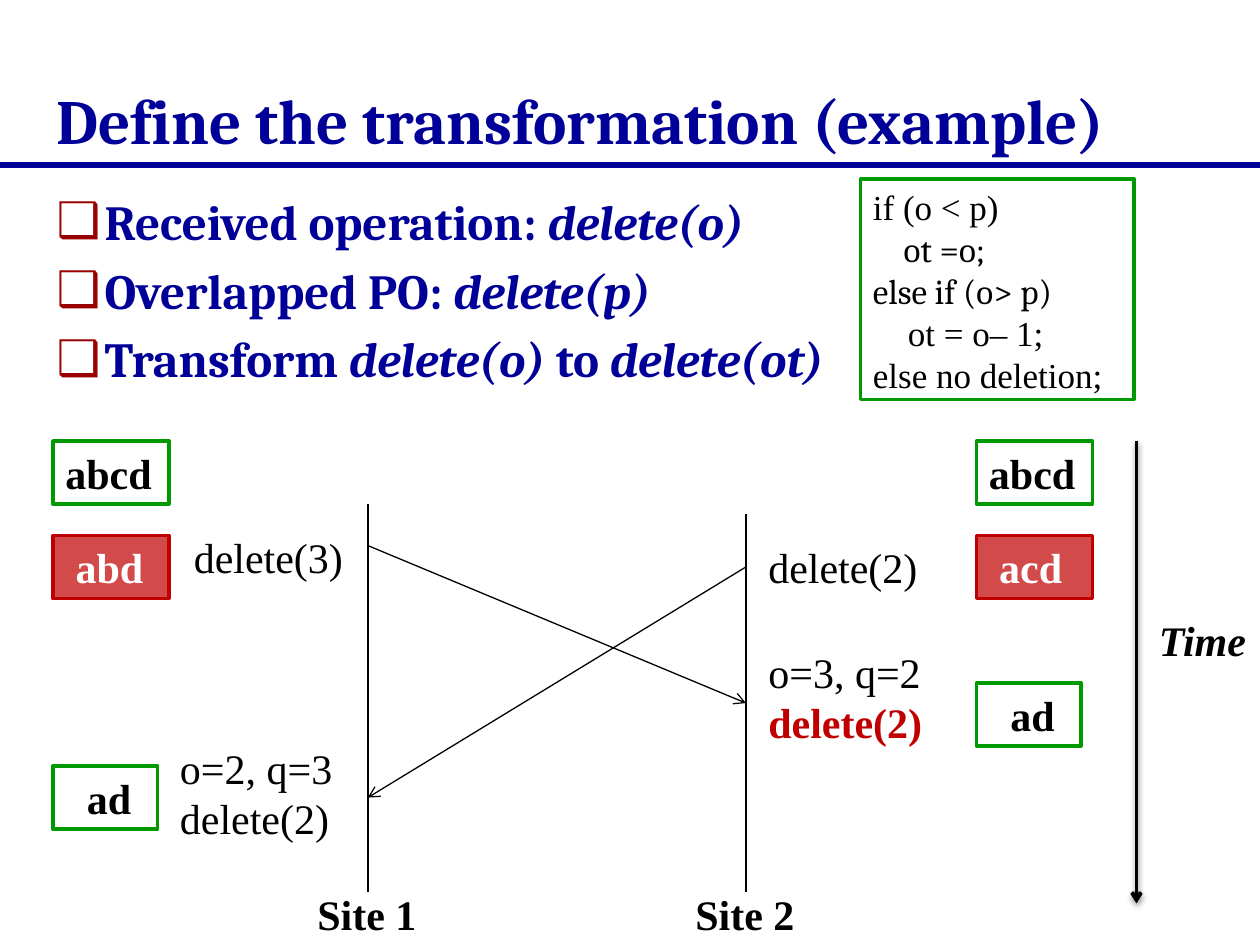
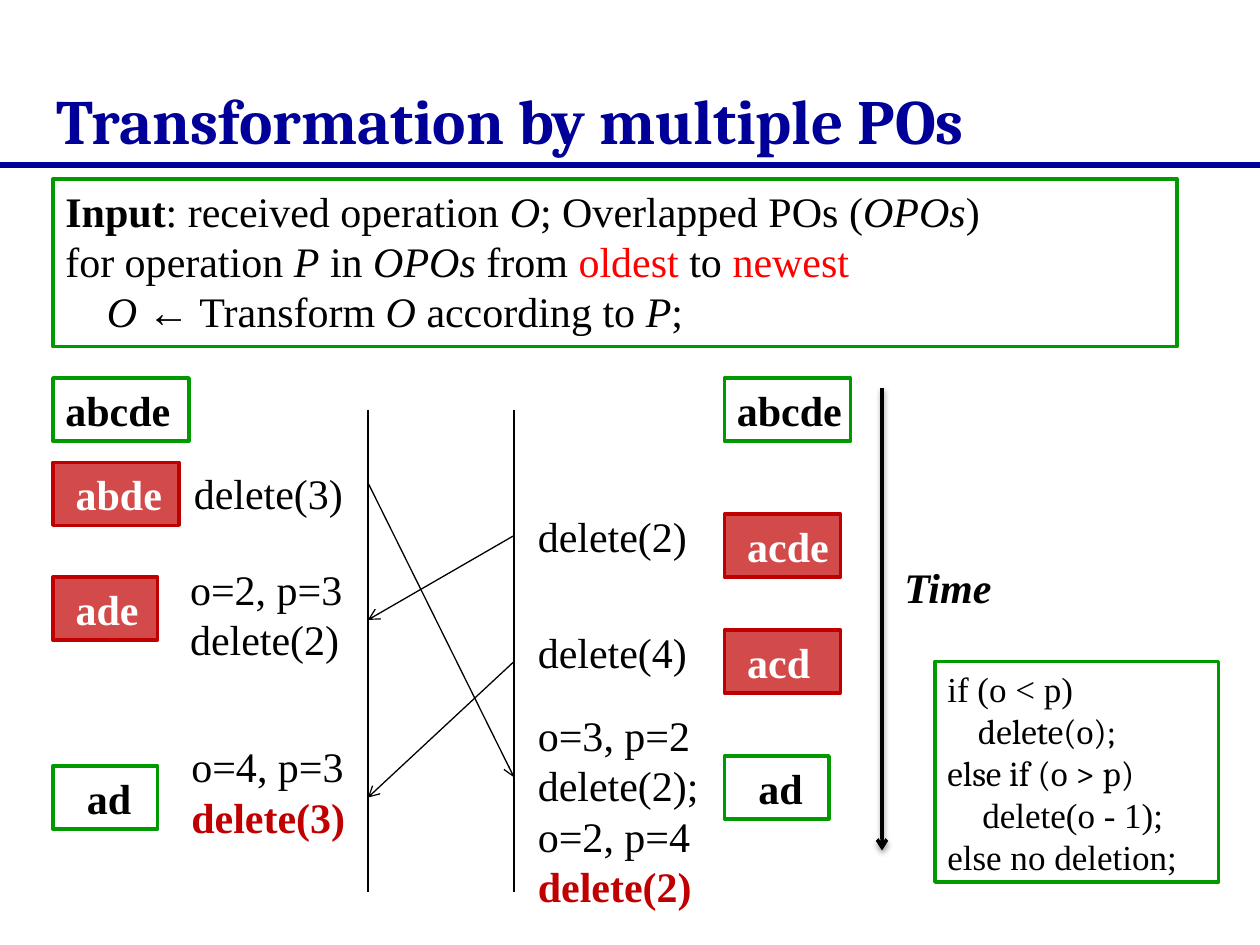
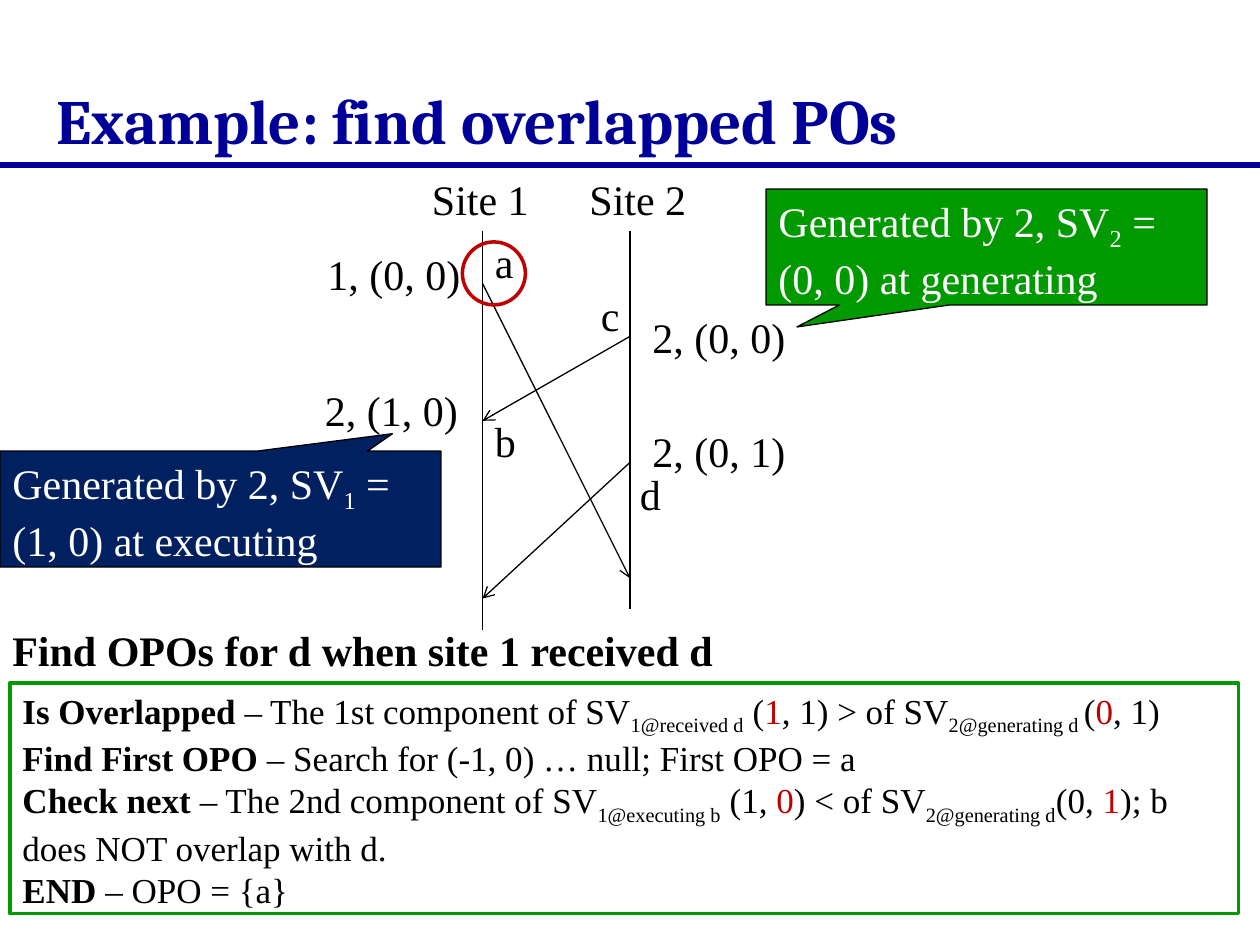
from dataclasses import dataclass

from lxml.etree import SubElement
from pptx import Presentation
from pptx.dml.color import RGBColor
from pptx.enum.shapes import MSO_CONNECTOR, MSO_SHAPE
from pptx.enum.text import MSO_ANCHOR, MSO_AUTO_SIZE, PP_ALIGN
from pptx.oxml.ns import qn
from pptx.util import Inches, Pt


@dataclass(frozen=True)
class Theme:
    """Colours, fonts and sizes shared by the slides."""
    navy: str = "000099"
    dark_blue: str = "002060"
    green: str = "009900"
    crimson: str = "C00000"
    red: str = "FF0000"
    bullet: str = "990000"
    black: str = "000000"
    white: str = "FFFFFF"
    heading_font: str = "Cambria"
    text_font: str = "Times New Roman"
    title_size: int = 36
    body_size: int = 28
    label_size: int = 24
    code_size: int = 20
    thin: float = 0.75
    outline: int = 2
    rule: int = 3


THEME = Theme()
BOLD = {"bold": True}
ITALIC = {"italic": True}
SUBSCRIPT = {"baseline": -25}
CRIMSON = {"color": THEME.crimson}
RED = {"color": THEME.red}
RESULT = {"color": THEME.crimson, "bold": True}


def add_run(paragraph, text, font=THEME.text_font, size=THEME.label_size,
            color=THEME.black, bold=False, italic=False, baseline=0):
    """Append one formatted run to a paragraph."""
    run = paragraph.add_run()
    run.text = text
    run.font.name = font
    run.font.size = Pt(size)
    run.font.bold = bold
    run.font.italic = italic
    run.font.color.rgb = RGBColor.from_string(color)
    if baseline:
        run.font._element.set("baseline", str(baseline * 1000))


def write_lines(frame, lines, **style):
    """Fill a frame with lines, each a string or a list of runs."""
    for index, line in enumerate(lines):
        paragraph = frame.add_paragraph() if index else frame.paragraphs[0]
        paragraph.alignment = PP_ALIGN.LEFT
        for part in [line] if isinstance(line, (str, tuple)) else line:
            text, changes = (part, {}) if isinstance(part, str) else part
            add_run(paragraph, text, **{**style, **changes})


def place(shape, at):
    """Move a shape to left, top, width and height in inches."""
    shape.left, shape.top, shape.width, shape.height = map(Inches, at)


class Deck:
    """Holds the presentation, its theme and the current slide."""

    def __init__(self, theme):
        """Start an empty presentation."""
        self.theme = theme
        self.presentation = Presentation()
        self.presentation.slide_width = Inches(10)
        self.presentation.slide_height = Inches(7.5)
        self.slide = None

    def new_slide(self, title, layout="Title Only"):
        """Add a slide with its title and the rule below it."""
        theme = self.theme
        layouts = self.presentation.slide_layouts
        self.slide = self.presentation.slides.add_slide(layouts.get_by_name(layout))
        self.line((0, 1.31), (10, 1.31), color=theme.navy, width=theme.rule)
        shape = self.slide.shapes.title
        place(shape, (0.35, 0.6, 9.21, 0.7))
        shape.text_frame.auto_size = MSO_AUTO_SIZE.NONE
        shape.text_frame.vertical_anchor = MSO_ANCHOR.BOTTOM
        write_lines(shape.text_frame, [title], font=theme.heading_font,
                    size=theme.title_size, color=theme.navy, bold=True)

    def bullets(self, at, lines):
        """Fill the body placeholder with a bulleted list."""
        theme = self.theme
        shape = self.slide.placeholders[1]
        place(shape, at)
        frame = shape.text_frame
        frame.auto_size = MSO_AUTO_SIZE.NONE
        write_lines(frame, lines, font=theme.heading_font, size=theme.body_size,
                    color=theme.navy, bold=True)
        for index, paragraph in enumerate(frame.paragraphs):
            paragraph.space_before = Pt(5.6 if index else 0)
            properties = paragraph._p.get_or_add_pPr()
            properties.set("marL", str(Inches(0.38)))
            properties.set("indent", str(-Inches(0.38)))
            color = SubElement(properties, qn("a:buClr"))
            SubElement(color, qn("a:srgbClr"), val=theme.bullet)
            SubElement(properties, qn("a:buChar"), char="❑")

    def line(self, start, end, color=THEME.black, width=THEME.thin,
             arrow=False, shadow=False):
        """Draw a straight line, with an arrowhead or a shadow on request."""
        connector = self.slide.shapes.add_connector(
            MSO_CONNECTOR.STRAIGHT, *map(Inches, (*start, *end)))
        connector.line.color.rgb = RGBColor.from_string(color)
        connector.line.width = Pt(width)
        if arrow:
            SubElement(connector.line._get_or_add_ln(), qn("a:tailEnd"), type="arrow")
        effects = SubElement(connector._element.spPr, qn("a:effectLst"))
        if shadow:
            outer = SubElement(effects, qn("a:outerShdw"), blurRad="40000",
                               dist="20000", dir="5400000", rotWithShape="0")
            shade = SubElement(outer, qn("a:srgbClr"), val=self.theme.black)
            SubElement(shade, qn("a:alpha"), val="38000")

    def site_lines(self, *sites):
        """Draw one vertical line per site from x, top and bottom."""
        for x, top, bottom in sites:
            self.line((x, top), (x, bottom))

    def messages(self, *pairs):
        """Draw an arrow for each pair of points."""
        for start, end in pairs:
            self.line(start, end, arrow=True)

    def time_axis(self, x, top):
        """Draw the time arrow and its label."""
        self.line((x, top), (x, top + 3.67), width=self.theme.outline,
                  arrow=True, shadow=True)
        self.label((x + 0.08, top + 1.33, 0.9, 0.5), "Time", bold=True, italic=True)

    def label(self, at, *lines, **style):
        """Add free text that does not wrap."""
        frame = self.slide.shapes.add_textbox(*map(Inches, at)).text_frame
        frame.word_wrap = False
        write_lines(frame, lines, **style)

    def shape(self, kind, at, fill=None, line=THEME.green, width=THEME.outline):
        """Add a flat preset shape and return it."""
        shape = self.slide.shapes.add_shape(kind, *map(Inches, at))
        shape.shadow.inherit = False
        if fill:
            shape.fill.solid()
            shape.fill.fore_color.rgb = RGBColor.from_string(fill)
        else:
            shape.fill.background()
        shape.line.color.rgb = RGBColor.from_string(line)
        shape.line.width = Pt(width)
        shape.text_frame.vertical_anchor = MSO_ANCHOR.TOP
        return shape

    def panel(self, at, lines, wrap=True, **style):
        """Add a white box with a green outline and text from the top."""
        frame = self.shape(MSO_SHAPE.RECTANGLE, at, self.theme.white).text_frame
        frame.word_wrap = wrap
        write_lines(frame, lines, **style)
        return frame

    def code(self, at, keep, otherwise, shift):
        """Show the transformation rule as code."""
        heading = {"font": self.theme.heading_font}
        lines = ["if (o < p)", ("    " + keep, heading), (otherwise, heading),
                 "    " + shift, "else no deletion;"]
        self.panel(at, lines, wrap=False, size=self.theme.code_size)

    def state(self, left, top, width, text, inset=0.1, changed=False):
        """Show the document state of a site, red while it is changing."""
        theme = self.theme
        fill, line, color = ((theme.crimson, theme.crimson, theme.white) if changed
                             else (theme.white, theme.green, theme.black))
        shape = self.shape(MSO_SHAPE.RECTANGLE, (left, top, width, 0.5), fill, line)
        if changed:
            fill_color = shape._element.spPr.find(qn("a:solidFill"))[0]
            SubElement(fill_color, qn("a:alpha"), val="71000")
        frame = shape.text_frame
        frame.word_wrap = False
        frame.vertical_anchor = MSO_ANCHOR.MIDDLE
        frame.margin_left = Inches(inset)
        frame.margin_right = Inches(0.05)
        write_lines(frame, [text], color=color, bold=True)

    def states(self, left, initial, changes, final):
        """Stack the states of one site from top, width and text."""
        self.state(left, *initial)
        for change in changes:
            self.state(left, *change, inset=0.18, changed=True)
        self.state(left, *final, inset=0.27)

    def callout(self, at, pointer, fill, site, vector):
        """Add a callout that explains a state vector."""
        shape = self.shape(MSO_SHAPE.RECTANGULAR_CALLOUT, at, fill,
                           self.theme.black, self.theme.thin)
        shape.adjustments[0], shape.adjustments[1] = pointer
        shape.text_frame.word_wrap = True
        line = ["Generated by 2, SV", (site, SUBSCRIPT), f" = {vector}"]
        write_lines(shape.text_frame, [line], color=self.theme.white)


def build_example(deck):
    """Build the slide that defines the transformation."""
    deck.new_slide("Define the transformation (example)", "Title and Content")
    deck.bullets((0.35, 1.47, 9.23, 5.03), [
        ["Received operation: ", ("delete(o)", ITALIC)],
        ["Overlapped PO: ", ("delete(p)", ITALIC)],
        ["Transform ", ("delete(o) ", ITALIC), "to ", ("delete(ot)", ITALIC)]])
    deck.code((6.83, 1.42, 2.17, 1.75), "ot =o;", "else if (o> p)", "ot = o– 1;")
    site_1, site_2 = 2.92, 5.92
    deck.site_lines((site_1, 4, 7.08), (site_2, 4.08, 7.08))
    deck.messages(((site_1, 4.33), (site_2, 5.58)), ((site_2, 4.5), (site_1, 6.33)))
    deck.states(0.42, (3.5, 0.92, "abcd"), [(4.25, 0.92, "abd")], (6.08, 0.83, "ad"))
    deck.states(7.75, (3.5, 0.92, "abcd"), [(4.25, 0.92, "acd")], (5.42, 0.83, "ad"))
    deck.label((1.44, 4.17, 1.4, 0.5), "delete(3)")
    deck.label((6, 4.25, 1.4, 0.5), "delete(2)")
    deck.label((6, 5.08, 1.42, 0.91), "o=3, q=2", ("delete(2)", RESULT))
    deck.label((1.33, 5.84, 1.42, 0.91), "o=2, q=3", "delete(2)")
    for name, x in (("Site 1", site_1), ("Site 2", site_2)):
        deck.label((x - 0.5, 7, 1, 0.5), name, bold=True)
    deck.time_axis(9.02, 3.5)


def build_multiple(deck):
    """Build the slide on transformation by several operations."""
    deck.new_slide("Transformation by multiple POs")
    frame = deck.panel((0.42, 1.42, 8.92, 1.33), [
        [("Input", BOLD), ": received operation ", ("O", ITALIC),
         "; Overlapped POs (", ("OPOs", ITALIC), ")"],
        ["for operation ", ("P", ITALIC), " in ", ("OPOs", ITALIC), " from ",
         ("oldest", RED), " to ", ("newest", RED)],
        [("O ", ITALIC), "← Transform ", ("O", ITALIC), " according to ",
         ("P", ITALIC), ";"]])
    frame.paragraphs[2]._p.get_or_add_pPr().set("marL", str(Inches(0.33)))
    deck.code((7.42, 5.25, 2.25, 1.75), "delete(o);", "else if (o > p)", "delete(o - 1);")
    site_1, site_2 = 2.92, 4.08
    deck.site_lines((site_1, 3.25, 7.08), (site_2, 3.25, 7.08))
    deck.messages(((site_1, 3.83), (site_2, 6.17)),
                  ((site_2, 4.25), (site_1, 4.92)),
                  ((site_2, 5.25), (site_1, 6.33)))
    deck.states(0.42, (3, 1.08, "abcde"),
                [(3.67, 1, "abde"), (4.58, 0.83, "ade")], (6.08, 0.83, "ad"))
    deck.states(5.75, (3, 1, "abcde"),
                [(4.08, 0.92, "acde"), (5, 0.92, "acd")], (6, 0.83, "ad"))
    deck.label((1.44, 3.66, 1.4, 0.5), "delete(3)")
    deck.label((1.41, 4.42, 1.42, 0.91), "o=2, p=3", "delete(2)")
    deck.label((1.42, 5.83, 1.42, 0.91), "o=4, p=3", ("delete(3)", RESULT))
    deck.label((4.17, 4, 1.4, 0.5), "delete(2)")
    deck.label((4.17, 4.92, 1.4, 0.5), "delete(4)")
    deck.label((4.17, 5.58, 1.55, 1.72), "o=3, p=2", "delete(2);", "o=2, p=4",
               ("delete(2)", RESULT))
    deck.time_axis(7, 3.08)


def build_overlap(deck):
    """Build the slide that finds overlapped operations."""
    deck.new_slide("Example: find overlapped POs")
    site_1, site_2 = 3.83, 5
    deck.site_lines((site_1, 1.83, 5), (site_2, 1.83, 4.83))
    deck.messages(((site_1, 2.25), (site_2, 4.59)),
                  ((site_2, 2.67), (site_1, 3.34)),
                  ((site_2, 3.67), (site_1, 4.75)))
    for text, left, top in (("Site 1", 3.33, 1.33), ("Site 2", 4.58, 1.33)):
        deck.label((left, top, 0.98, 0.5), text)
    for text, left, top in (("1, (0, 0)", 2.5, 1.92), ("2, (0, 0)", 5.08, 2.42),
                            ("2, (0, 1)", 5.08, 3.33), ("2, (1, 0)", 2.48, 3)):
        deck.label((left, top, 1.27, 0.5), text)
    deck.callout((6.08, 1.5, 3.5, 0.92), (-0.43, 0.69), deck.theme.green,
                 "2", "(0, 0) at generating")
    deck.callout((0, 3.58, 3.5, 0.92), (0.39, -0.65), deck.theme.dark_blue,
                 "1", "(1, 0) at executing")
    deck.panel((0.08, 5.42, 9.75, 1.83), [
        [("Is Overlapped ", BOLD), "– The 1st component of SV",
         ("1@received d", SUBSCRIPT), " (", ("1", CRIMSON), ", 1) > of SV",
         ("2@generating d ", SUBSCRIPT), "(", ("0", CRIMSON), ", 1)"],
        [("Find First OPO ", BOLD), "– Search for (-1, 0) … null; First OPO = a"],
        [("Check next ", BOLD), "– The 2nd component of SV",
         ("1@executing b", SUBSCRIPT), " (1, ", ("0", CRIMSON), ") < of SV",
         ("2@generating d", SUBSCRIPT), "(0, ", ("1", CRIMSON),
         "); b does NOT overlap with d."],
        [("END", BOLD), " – OPO = {a}"]], size=deck.theme.code_size)
    for text, left, top in (("a", 3.83, 1.83), ("b", 3.83, 3.25),
                            ("c", 4.67, 2.25), ("d", 4.98, 3.67)):
        deck.label((left, top, 0.35, 0.5), text)
    deck.label((0, 4.91, 6.83, 0.5), "Find OPOs for d when site 1 received d", bold=True)
    deck.shape(MSO_SHAPE.OVAL, (3.67, 1.92, 0.5, 0.5), line=deck.theme.crimson)


def main():
    """Build and save the presentation."""
    deck = Deck(THEME)
    build_example(deck)
    build_multiple(deck)
    build_overlap(deck)
    deck.presentation.save("out.pptx")


if __name__ == "__main__":
    main()
